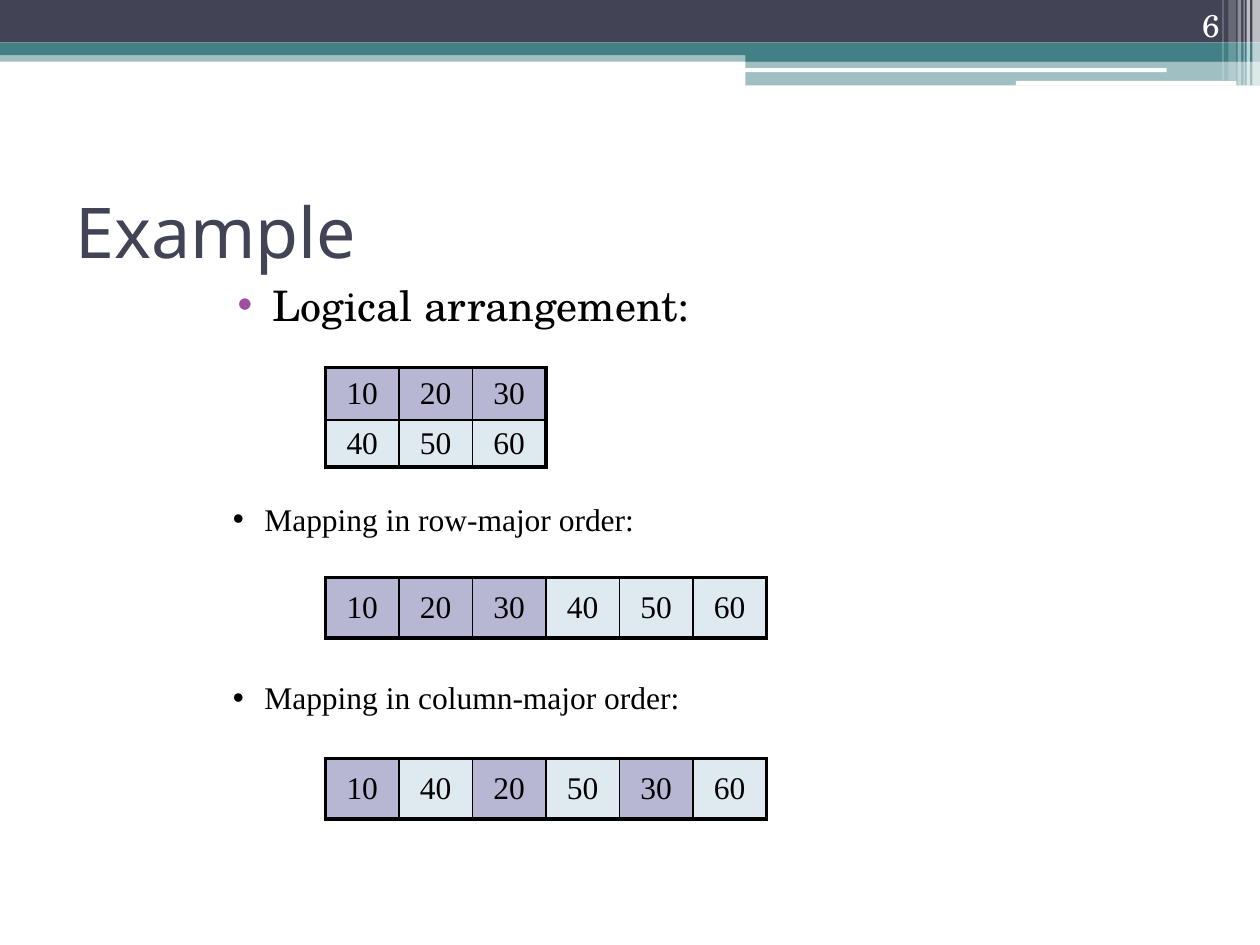
from dataclasses import dataclass

from lxml.etree import SubElement
from pptx import Presentation
from pptx.dml.color import RGBColor
from pptx.enum.shapes import MSO_SHAPE as Shape
from pptx.enum.text import MSO_ANCHOR as Anchor, PP_ALIGN as Align
from pptx.oxml.ns import qn
from pptx.util import Pt

COLORS = {
    "navy": "424456", "teal": "438086", "white": "FFFFFF", "black": "000000",
    "purple": "A04DA3", "lavender": "B7B7D4", "ice": "DEE9F0",
}
SERIF, SCHOOL, SANS = "Times New Roman", "TeX Gyre Schola", "Noto Sans"
COLUMN = 42
GRID_LEFT = 186
OUTER, INNER = 2.25, 1


@dataclass
class Bar:
    """A band of the page header, in points."""
    left: float
    top: float
    width: float
    height: float
    color: str
    opacity: int = 100
    kind: Shape = Shape.RECTANGLE


@dataclass
class Label:
    """A text box, in points."""
    text: str
    left: float
    top: float
    width: float
    height: float
    size: float
    font: str
    color: str = "black"
    anchor: Anchor = Anchor.TOP
    align: Align = Align.LEFT
    before: float = 0
    bullet: str = ""
    margin: float = 0
    hang: float = 0


@dataclass
class Grid:
    """A table of numbers with its top and row heights, in points."""
    top: float
    heights: list[float]
    rows: list[list[int]]


BARS = [
    Bar(0, 28.8, 720, 6.5, "teal", 50),
    Bar(0, 0, 720, 24.3, "navy"),
    Bar(0, 24.3, 720, 7.2, "teal"),
    Bar(426, 28, 294, 7.2, "teal"),
    Bar(426, 34.8, 294, 14, "teal", 50),
    Bar(425.5, 39, 241.2, 2.2, "white", kind=Shape.ROUNDED_RECTANGLE),
    Bar(580.5, 46.2, 126, 2.7, "white", kind=Shape.ROUNDED_RECTANGLE),
    Bar(715.6, 0, 4.4, 48.8, "white", 65),
    Bar(712.3, 0, 2, 48.8, "white", 65),
    Bar(710.6, 0, 0.7, 48.8, "white", 60),
    Bar(707.2, 0, 2, 48.8, "white", 40),
    Bar(702, 0, 4.3, 46.1, "white", 20),
    Bar(698.5, 0, 0.7, 46.1, "white", 30),
]
MAPPING = {"left": 54, "width": 612, "height": 48, "size": 18, "font": SERIF,
           "before": 2, "bullet": "black", "margin": 90, "hang": 18}
LABELS = [
    Label("Example", 36, 90, 648, 84, 40, SANS, "navy", Anchor.MIDDLE),
    Label("Logical arrangement:", 120, 156, 612, 48, 24, SCHOOL, before=3,
          bullet="purple", margin=28.8, hang=20),
    Label("Mapping in row-major order:", top=282, **MAPPING),
    Label("Mapping in column-major order:", top=384, **MAPPING),
    Label("6", 644, 0, 60, 28.8, 18, SCHOOL, "white", Anchor.BOTTOM, Align.RIGHT),
]
GRIDS = [
    Grid(210, [30, 27], [[10, 20, 30], [40, 50, 60]]),
    Grid(330, [34.5], [[10, 20, 30, 40, 50, 60]]),
    Grid(433.5, [34.5], [[10, 40, 20, 50, 30, 60]]),
]


def rgb(name: str) -> RGBColor:
    """Return a named colour."""
    return RGBColor.from_string(COLORS[name])


def apply(target, values: dict) -> None:
    """Set each given attribute on the target."""
    for name, value in values.items():
        setattr(target, name, value)


def write(paragraph, text: str, size: float, font: str, color: str) -> None:
    """Add one formatted span to a paragraph."""
    span = paragraph.add_run()
    span.text = text
    apply(span.font, {"size": Pt(size), "name": font, "bold": False})
    span.font.color.rgb = rgb(color)


def draw_bar(page, bar: Bar) -> None:
    """Draw a header band, see-through where asked."""
    shape = page.shapes.add_shape(
        bar.kind, Pt(bar.left), Pt(bar.top), Pt(bar.width), Pt(bar.height))
    shape.shadow.inherit = False
    shape.line.fill.background()
    shape.fill.solid()
    shape.fill.fore_color.rgb = rgb(bar.color)
    if bar.opacity < 100:
        color = shape.fill._xPr.find(".//" + qn("a:srgbClr"))
        SubElement(color, qn("a:alpha"), val=str(bar.opacity * 1000))


def add_bullet(paragraph, label: Label) -> None:
    """Give a paragraph a coloured bullet and a hanging indent."""
    properties = paragraph._p.get_or_add_pPr()
    properties.set("marL", str(Pt(label.margin)))
    properties.set("indent", str(-Pt(label.hang)))
    color = SubElement(properties, qn("a:buClr"))
    SubElement(color, qn("a:srgbClr"), val=COLORS[label.bullet])
    SubElement(properties, qn("a:buFont"), typeface="Arial")
    SubElement(properties, qn("a:buChar"), char="•")


def draw_label(page, label: Label) -> None:
    """Draw a text box."""
    box = page.shapes.add_textbox(
        Pt(label.left), Pt(label.top), Pt(label.width), Pt(label.height))
    apply(box.text_frame, {"word_wrap": True, "vertical_anchor": label.anchor})
    paragraph = box.text_frame.paragraphs[0]
    apply(paragraph, {"alignment": label.align, "space_before": Pt(label.before)})
    if label.bullet:
        add_bullet(paragraph, label)
    write(paragraph, label.text, label.size, label.font, label.color)


def add_borders(cell, widths: dict[str, float]) -> None:
    """Draw the black cell borders, one width a side."""
    properties = cell._tc.get_or_add_tcPr()
    for side, width in widths.items():
        line = SubElement(properties, qn(f"a:ln{side}"), w=str(Pt(width)))
        fill = SubElement(line, qn("a:solidFill"))
        SubElement(fill, qn("a:srgbClr"), val=COLORS["black"])


def draw_grid(page, grid: Grid) -> None:
    """Draw a table with a heavy frame; values up to 30 are lavender."""
    last_row, last_column = len(grid.rows) - 1, len(grid.rows[0]) - 1
    table = page.shapes.add_table(
        last_row + 1, last_column + 1, Pt(GRID_LEFT), Pt(grid.top),
        Pt(COLUMN * (last_column + 1)), Pt(sum(grid.heights))).table
    apply(table, {"first_row": False, "horz_banding": False})
    for column in table.columns:
        column.width = Pt(COLUMN)
    for row, values in enumerate(grid.rows):
        table.rows[row].height = Pt(grid.heights[row])
        for column, value in enumerate(values):
            cell = table.cell(row, column)
            edges = {"L": column == 0, "R": column == last_column,
                     "T": row == 0, "B": row == last_row}
            add_borders(cell, {side: OUTER if edge else INNER
                               for side, edge in edges.items()})
            apply(cell, {"vertical_anchor": Anchor.MIDDLE,
                         "margin_top": Pt(2), "margin_bottom": Pt(2)})
            cell.fill.solid()
            cell.fill.fore_color.rgb = rgb("lavender" if value <= 30 else "ice")
            paragraph = cell.text_frame.paragraphs[0]
            paragraph.alignment = Align.CENTER
            write(paragraph, str(value), 18, SERIF, "black")


def main() -> None:
    """Build the deck and save it."""
    deck = Presentation()
    apply(deck, {"slide_width": Pt(720), "slide_height": Pt(540)})
    page = deck.slides.add_slide(deck.slide_layouts[6])
    for draw, items in ((draw_bar, BARS), (draw_label, LABELS), (draw_grid, GRIDS)):
        for item in items:
            draw(page, item)
    deck.save("out.pptx")


main()
